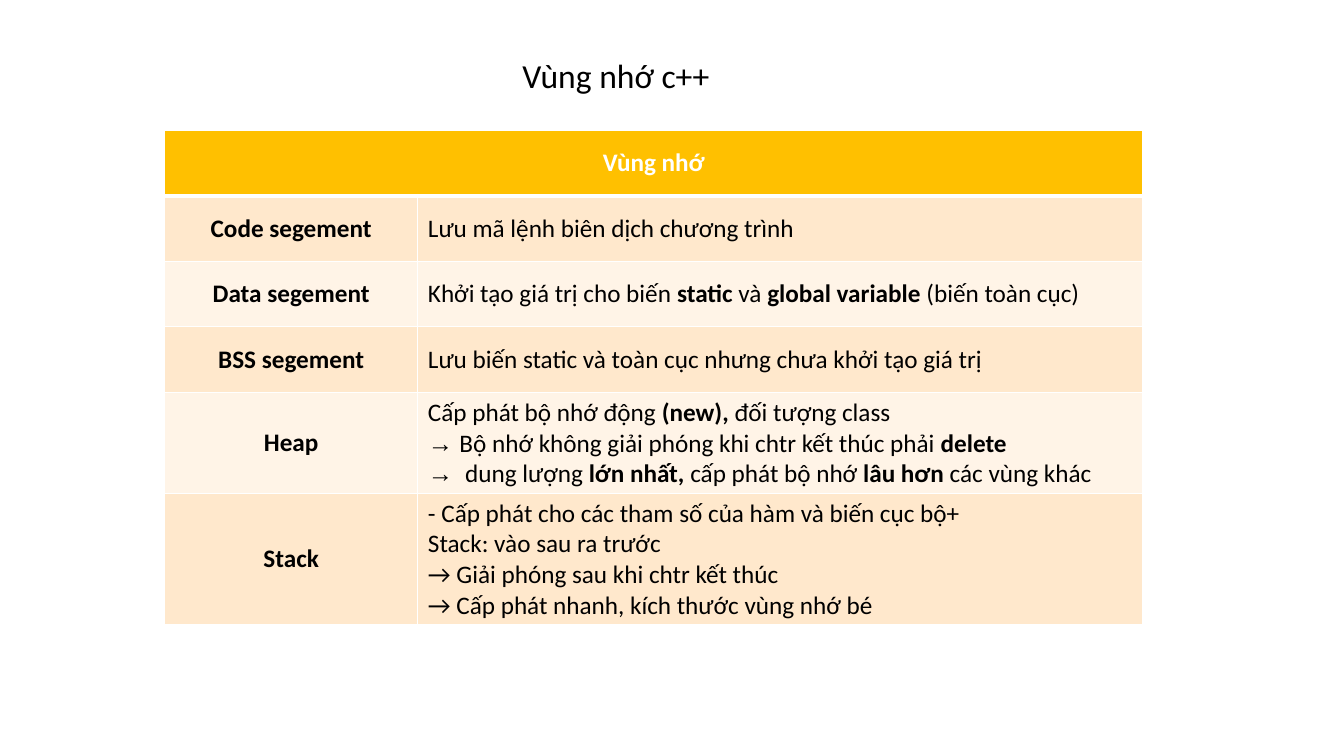
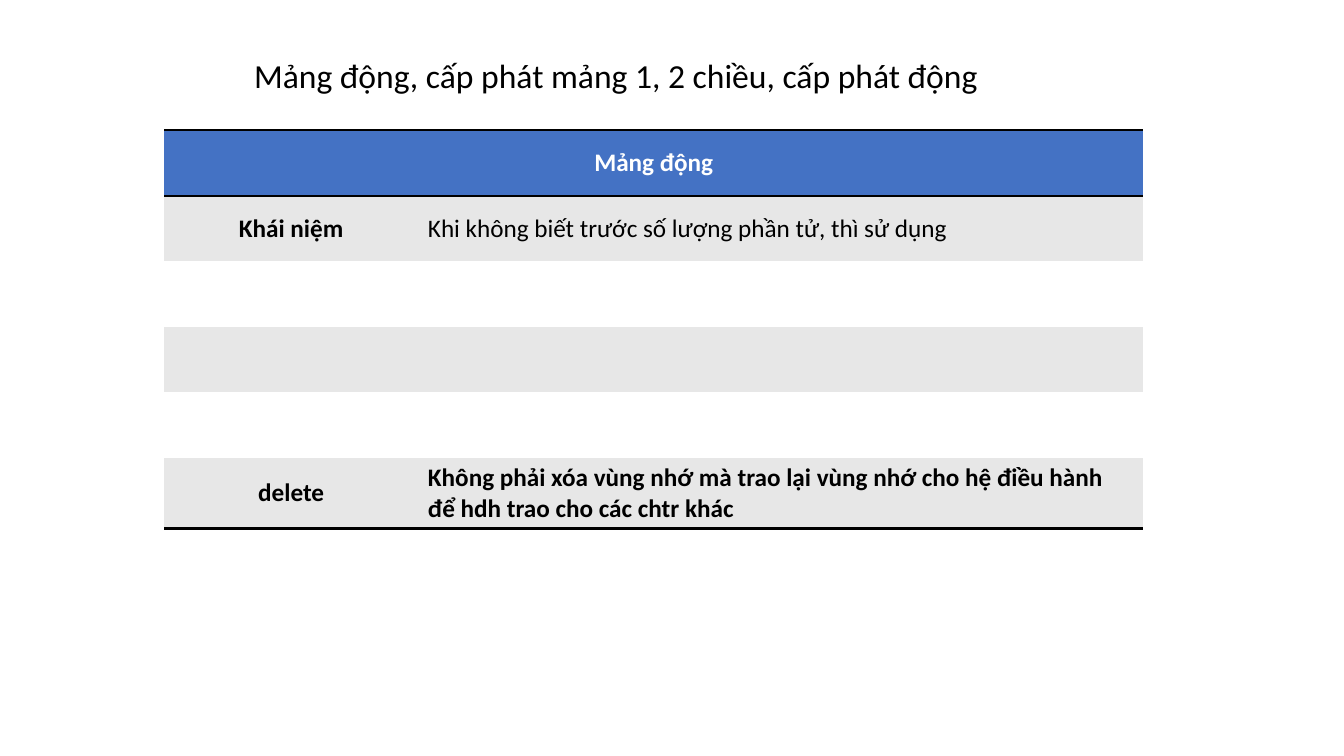
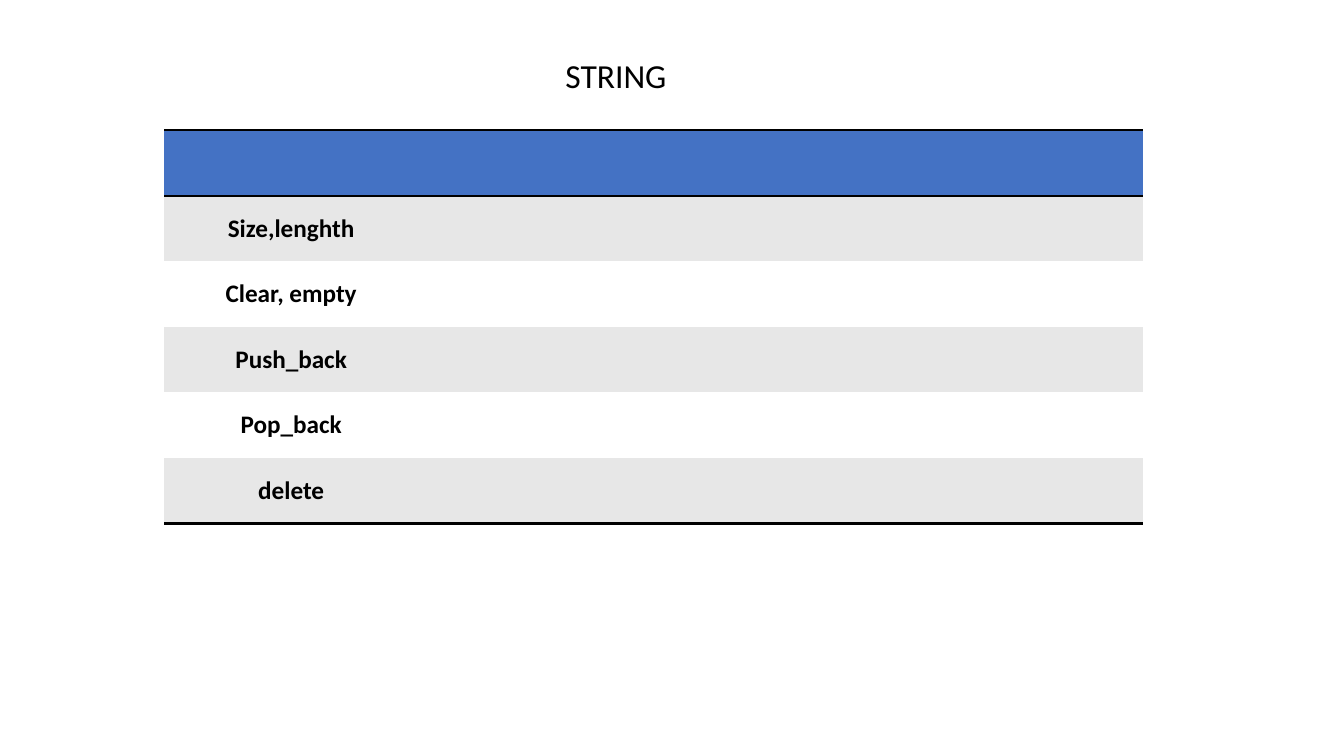
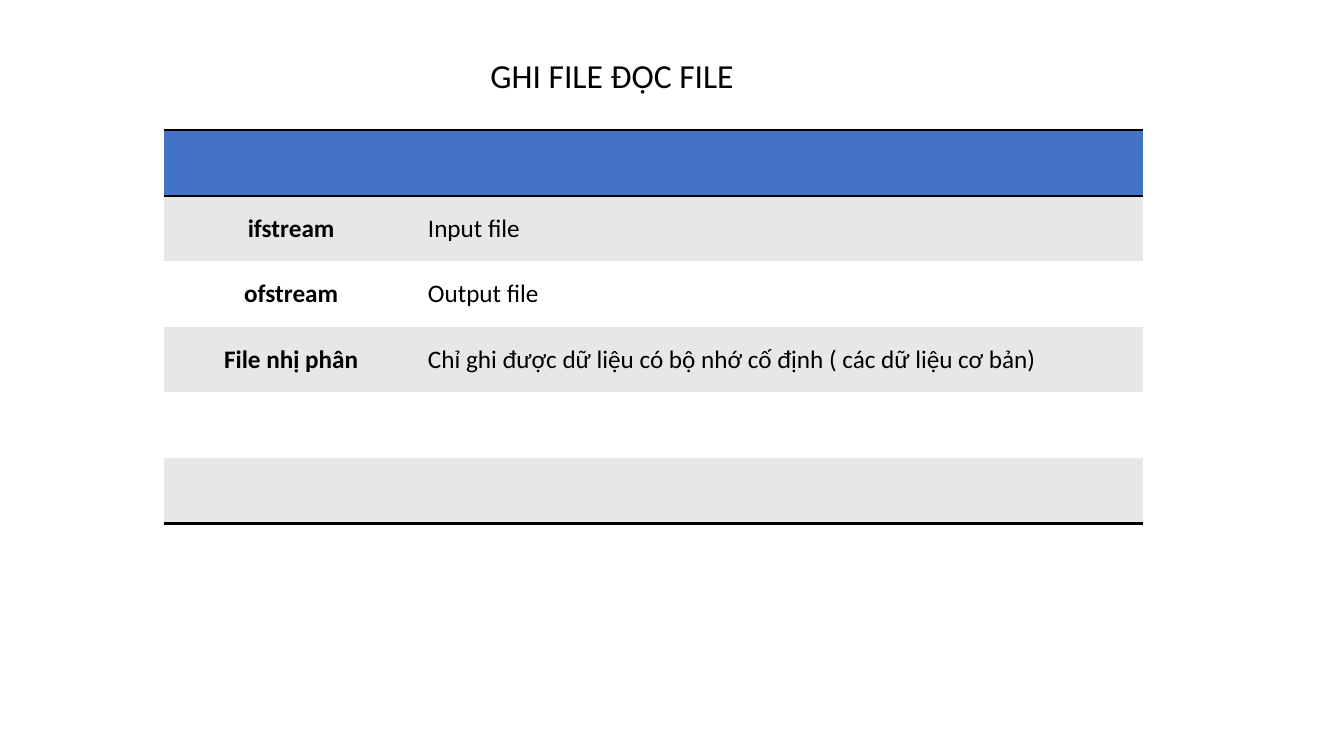
from pptx import Presentation
from pptx.dml.color import RGBColor
from pptx.enum.text import MSO_ANCHOR, PP_ALIGN
from pptx.oxml.ns import qn
from pptx.util import Pt
from lxml.etree import SubElement

COLORS = {
    "black": "000000", "white": "FFFFFF", "gold": "FFC000", "blue": "4472C4",
    "peach": "FFE8CC", "cream": "FFF4E7", "gray": "E7E7E7",
}
FONT = "Calibri"

# Edge widths: top, under the header, between rows, bottom, between columns
WARM = {"head": "gold", "bands": ("peach", "cream"), "line": "white",
        "top": 1, "under": 3, "inner": 1, "bottom": 1, "column": 1}
PLAIN = {"head": "blue", "bands": ("gray", "white"), "line": "black",
         "top": 2, "under": 2, "inner": 0, "bottom": 2, "column": 0}

# Each slide: title, table style, table header, rows of (label, paragraphs).
# "**" switches bold on and off; a leading "> " makes an arrow bullet.
SLIDES = [
    ("Vùng nhớ c++", WARM, "Vùng nhớ", [
        ("Code segement", ["Lưu mã lệnh biên dịch chương trình"]),
        ("Data segement", ["Khởi tạo giá trị cho biến **static **và** global variable **"
                           "(biến toàn cục)"]),
        ("BSS segement", ["Lưu biến static và toàn cục nhưng chưa khởi tạo giá trị"]),
        ("Heap", ["Cấp phát bộ nhớ động **(new), **đối tượng class",
                  "> Bộ nhớ không giải phóng khi chtr kết thúc phải **delete",
                  ">  dung lượng **lớn nhất, **cấp phát bộ nhớ **lâu hơn **các vùng khác"]),
        ("Stack", ["- Cấp phát cho các tham số của hàm và biến cục bộ+",
                   "Stack: vào sau ra trước",
                   "→ Giải phóng sau khi chtr kết thúc",
                   "→ Cấp phát nhanh, kích thước vùng nhớ bé"]),
    ]),
    ("Mảng động, cấp phát mảng 1, 2 chiều, cấp phát động", PLAIN, "Mảng động", [
        ("Khái niệm", ["Khi không biết trước số lượng phần tử, thì sử dụng "]),
        ("", []),
        ("", []),
        ("", []),
        ("delete", ["**Không phải xóa vùng nhớ mà trao lại vùng nhớ cho hệ điều hành "
                    "để hdh trao cho các chtr khác"]),
    ]),
    ("STRING", PLAIN, "", [
        ("Size,lenghth", []),
        ("Clear, empty", []),
        ("Push_back", []),
        ("Pop_back", []),
        ("delete", []),
    ]),
    ("GHI FILE ĐỌC FILE ", PLAIN, "", [
        ("ifstream", ["Input file"]),
        ("ofstream", ["Output file"]),
        ("File nhị phân", ["Chỉ ghi được dữ liệu có bộ nhớ cố định ( các dữ liệu cơ bản)"]),
        ("", []),
        ("", []),
    ]),
]

TITLE_BOX = (80, 39, 720, 36.5)
TABLE_LEFT, TABLE_TOP = 117.5, 93
COL_WIDTHS = (181, 518)
ROW_HEIGHT = 46.8
BULLET_INDENT = 22.5


def rgb(name):
    """Return the named colour."""
    return RGBColor.from_string(COLORS[name])


def add_bullet(p):
    """Give a paragraph an arrow bullet with a hanging indent."""
    pPr = p._p.get_or_add_pPr()
    pPr.set("marL", str(Pt(BULLET_INDENT)))
    pPr.set("indent", str(-Pt(BULLET_INDENT)))
    SubElement(pPr, qn("a:buFont")).set("typeface", "Arial")
    SubElement(pPr, qn("a:buChar")).set("char", "→")


def write(tf, paragraphs, size=18, color="black", bold=False, align=PP_ALIGN.LEFT,
          line_spacing=None, space_before=None):
    """Fill a text frame with marked-up paragraphs."""
    for i, text in enumerate(paragraphs):
        p = tf.add_paragraph() if i else tf.paragraphs[0]
        p.alignment = align
        p.line_spacing = line_spacing
        p.space_before = space_before
        if text.startswith("> "):
            add_bullet(p)
            text = text[2:]
        for k, part in enumerate(text.split("**")):
            if part:
                r = p.add_run()
                r.text = part
                r.font.name, r.font.size = FONT, Pt(size)
                r.font.bold = bold or k % 2 == 1
                r.font.color.rgb = rgb(color)


def set_borders(cell, color, **widths):
    """Draw the four cell borders; a width of zero hides the border."""
    tcPr = cell._tc.get_or_add_tcPr()
    for side in "LRTB":
        ln = SubElement(tcPr, qn(f"a:ln{side}"))
        ln.set("w", str(Pt(widths[side])))
        if widths[side]:
            fill = SubElement(ln, qn("a:solidFill"))
            SubElement(fill, qn("a:srgbClr")).set("val", COLORS[color])
        else:
            SubElement(ln, qn("a:noFill"))


def add_title(s, text):
    """Add the centred slide title."""
    tf = s.shapes.add_textbox(*map(Pt, TITLE_BOX)).text_frame
    tf.word_wrap = True
    write(tf, [text], size=24, align=PP_ALIGN.CENTER, line_spacing=0.9, space_before=Pt(10))


def add_grid(s, style, header, rows):
    """Add a two-column table under a merged header row."""
    n = len(rows) + 1
    table = s.shapes.add_table(n, 2, Pt(TABLE_LEFT), Pt(TABLE_TOP),
                               Pt(sum(COL_WIDTHS)), Pt(n * ROW_HEIGHT)).table
    table.first_row = table.horz_banding = False
    for column, width in zip(table.columns, COL_WIDTHS):
        column.width = Pt(width)
    edges = [style["top"], style["under"], *[style["inner"]] * (n - 2), style["bottom"]]
    for i in range(n):
        table.rows[i].height = Pt(ROW_HEIGHT)
        for j in range(2):
            cell = table.cell(i, j)
            set_borders(cell, style["line"], L=style["column"], R=style["column"],
                        T=edges[i], B=edges[i + 1])
            cell.fill.solid()
            cell.fill.fore_color.rgb = rgb(style["bands"][(i - 1) % 2] if i else style["head"])
            cell.vertical_anchor = MSO_ANCHOR.MIDDLE
    table.cell(0, 0).merge(table.cell(0, 1))
    write(table.cell(0, 0).text_frame, [header], color="white", bold=True,
          align=PP_ALIGN.CENTER)
    for i, (label, paragraphs) in enumerate(rows, 1):
        write(table.cell(i, 0).text_frame, [label], bold=True, align=PP_ALIGN.CENTER)
        write(table.cell(i, 1).text_frame, paragraphs)


prs = Presentation()
prs.slide_width, prs.slide_height = Pt(960), Pt(540)
for title, style, header, rows in SLIDES:
    s = prs.slides.add_slide(prs.slide_layouts[6])
    add_title(s, title)
    add_grid(s, style, header, rows)
prs.save("out.pptx")
